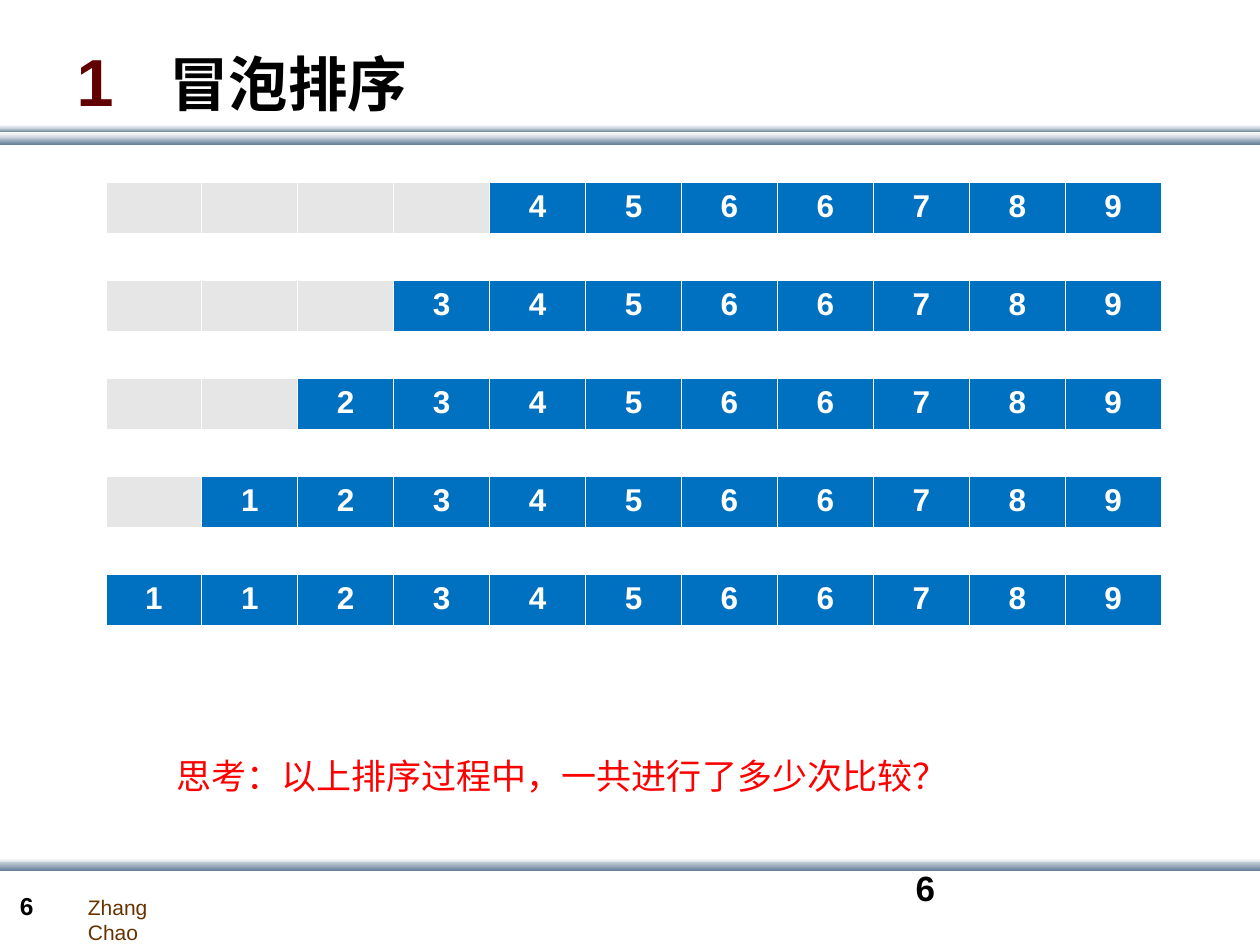
from pptx import Presentation
from pptx.dml.color import RGBColor
from pptx.enum.shapes import MSO_SHAPE
from pptx.enum.text import MSO_ANCHOR, PP_ALIGN
from pptx.oxml import parse_xml
from pptx.oxml.ns import nsdecls
from pptx.util import Pt

WHITE, MIST, STEEL = "FFFFFF", "C8D1DA", "6A839C"
BLUE, GRAY = "0070C0", "E6E6E6"
VALUES = "11234566789"


def color(code):
    return RGBColor.from_string(code)


def style(run, size, code, bold=False):
    font = run.font
    font.name = "Arial"
    font.size = Pt(size)
    font.bold = bold
    font.color.rgb = color(code)


def add_bar(slide, top, height, start, end):
    bar = slide.shapes.add_shape(
        MSO_SHAPE.RECTANGLE, 0, Pt(top), Pt(720.7), Pt(height))
    bar.shadow.inherit = False
    bar.line.fill.background()
    bar.fill.gradient()
    bar.fill.gradient_angle = 270
    for stop, code, place in zip(bar.fill.gradient_stops, (start, end), (0, 1)):
        stop.color.rgb = color(code)
        stop.position = place


def add_box(slide, left, top, width, height, wrap=True):
    box = slide.shapes.add_textbox(Pt(left), Pt(top), Pt(width), Pt(height))
    box.text_frame.word_wrap = wrap
    return box.text_frame


def add_label(slide, area, text, size, code, bold=False, wrap=True):
    para = add_box(slide, *area, wrap).paragraphs[0]
    para.text = text
    style(para.runs[0], size, code, bold)


def add_title(slide, number, text):
    frame = add_box(slide, 36.7, 15.1, 648, 61.2)
    frame.vertical_anchor = MSO_ANCHOR.MIDDLE
    para = frame.paragraphs[0]
    # Tab stop that sets the heading apart from its number
    para._p.get_or_add_pPr().append(parse_xml(
        f'<a:tabLst {nsdecls("a")}><a:tab pos="{Pt(53)}" algn="l"/></a:tabLst>'))
    for part, size, code in ((number + "\t", 38, "600000"), (text, 34, "000000")):
        run = para.add_run()
        run.text = part
        style(run, size, code, True)


def add_edges(cell):
    props = cell._tc.get_or_add_tcPr()
    for side, width in (("L", 0.45), ("R", 0.45), ("T", 0.45), ("B", 1.47)):
        props.append(parse_xml(
            f'<a:ln{side} {nsdecls("a")} w="{Pt(width)}"><a:solidFill>'
            f'<a:srgbClr val="{WHITE}"/></a:solidFill></a:ln{side}>'))


def add_row(slide, top, blanks):
    count = len(VALUES)
    table = slide.shapes.add_table(
        1, count, Pt(60.5), Pt(top), Pt(54.85 * count), Pt(29.6)).table
    table.first_row = table.horz_banding = False
    for index, value in enumerate(VALUES):
        cell = table.cell(0, index)
        add_edges(cell)
        cell.fill.solid()
        cell.fill.fore_color.rgb = color(GRAY if index < blanks else BLUE)
        if index >= blanks:
            para = cell.text_frame.paragraphs[0]
            para.text = value
            para.alignment = PP_ALIGN.CENTER
            style(para.runs[0], 18, WHITE, True)


def main():
    deck = Presentation()
    deck.slide_width, deck.slide_height = Pt(720), Pt(540)
    slide = deck.slides.add_slide(deck.slide_layouts[6])

    # Bands under the title and above the footer
    for top, height, start, end in (
            (78.5, 3.9, MIST, STEEL), (73.4, 2.2, MIST, STEEL),
            (75.6, 3.3, WHITE, MIST), (71.3, 2.2, WHITE, MIST),
            (490.3, 3.6, WHITE, MIST), (492.5, 5, MIST, STEEL)):
        add_bar(slide, top, height, start, end)

    # Footer
    add_label(slide, (43.2, 507.6, 80, 21.6), "Zhang Chao", 12, "663300",
              wrap=False)
    add_label(slide, (4.3, 505.4, 39.6, 24.5), "6", 14, "000000", True)
    add_label(slide, (516.2, 491.8, 167.8, 36), "6", 20, "000000", True)

    # Sorting steps, each with one more value in place
    for step in range(5):
        add_row(slide, 104.4 + 56 * step, 4 - step)

    # Title and question
    add_title(slide, "1", "冒泡排序")
    add_label(slide, (93.6, 427.7, 475.9, 31.7),
              "思考：以上排序过程中，一共进行了多少次比较？", 20, "FF0000")

    deck.save("out.pptx")


if __name__ == "__main__":
    main()
